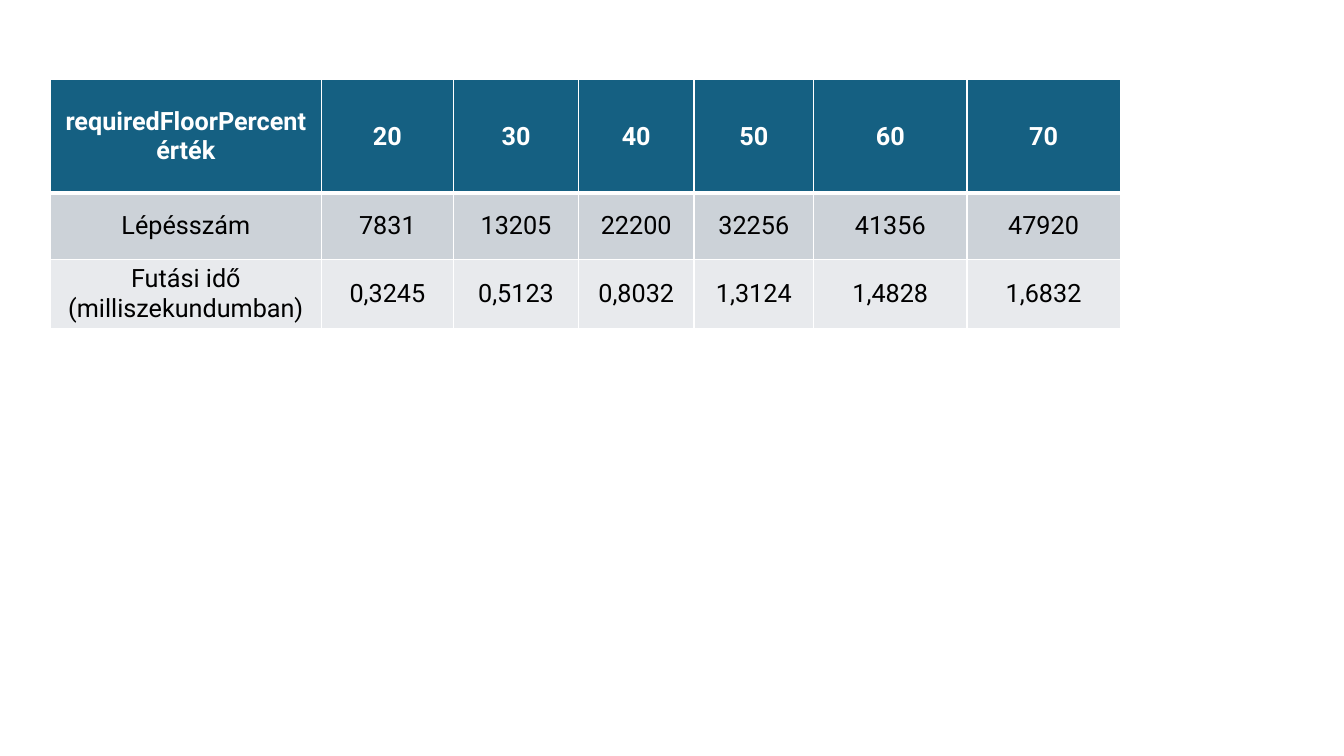
from dataclasses import dataclass

from lxml.etree import SubElement
from pptx import Presentation
from pptx.dml.color import RGBColor as Rgb
from pptx.enum.text import MSO_ANCHOR as Anchor, PP_ALIGN as Align
from pptx.oxml.ns import qn
from pptx.util import Emu, Pt

EMU_PER_PX = 9525


@dataclass(frozen=True)
class Theme:
    font: str = "Roboto"
    text_size: int = 18
    header_fill: str = "156082"
    header_text: str = "FFFFFF"
    body_fills: tuple = ("CCD2D8", "E8EAED")
    body_text: str = "000000"
    border: str = "FFFFFF"
    thin_line: int = 1
    thick_line: int = 3


def px(length):
    return Emu(length * EMU_PER_PX)


class SlideBuilder:
    def __init__(self, slide, theme):
        self.slide = slide
        self.theme = theme

    def table(self, left, top, widths, heights, rows):
        frame = self.slide.shapes.add_table(
            len(rows), len(widths), px(left), px(top), px(sum(widths)), px(sum(heights)))
        table = frame.table
        for column, width in zip(table.columns, widths):
            column.width = px(width)
        for row, height in zip(table.rows, heights):
            row.height = px(height)
        for row_index, texts in enumerate(rows):
            for column_index, text in enumerate(texts):
                self.cell(table.cell(row_index, column_index), text, row_index)

    def cell(self, cell, text, row_index):
        theme = self.theme
        is_header = row_index == 0
        # Borders: a thick line separates the header from the body
        self.borders(cell, {
            "lnL": theme.thin_line,
            "lnR": theme.thin_line,
            "lnT": theme.thick_line if row_index == 1 else theme.thin_line,
            "lnB": theme.thick_line if is_header else theme.thin_line,
        })
        # Fill: body rows alternate
        bands = theme.body_fills
        fill = theme.header_fill if is_header else bands[(row_index - 1) % len(bands)]
        cell.fill.solid()
        cell.fill.fore_color.rgb = Rgb.from_string(fill)
        # Text
        cell.vertical_anchor = Anchor.MIDDLE
        cell.text_frame.text = text
        paragraph = cell.text_frame.paragraphs[0]
        paragraph.alignment = Align.CENTER
        font = paragraph.runs[0].font
        font.name = theme.font
        font.size = Pt(theme.text_size)
        font.bold = is_header
        font.color.rgb = Rgb.from_string(theme.header_text if is_header else theme.body_text)

    def borders(self, cell, line_widths):
        properties = cell._tc.get_or_add_tcPr()
        for side, width in line_widths.items():
            line = SubElement(properties, qn(f"a:{side}"), w=str(Pt(width)))
            fill = SubElement(line, qn("a:solidFill"))
            SubElement(fill, qn("a:srgbClr"), val=self.theme.border)


def main():
    presentation = Presentation()
    presentation.slide_width = px(1280)
    presentation.slide_height = px(720)
    slide = presentation.slides.add_slide(presentation.slide_layouts[6])
    builder = SlideBuilder(slide, Theme())

    # Steps and running time for each floor percentage
    builder.table(
        left=48, top=76,
        widths=[258, 126, 119, 110, 114, 146, 146],
        heights=[108, 63, 63],
        rows=[
            ["requiredFloorPercent érték", "20", "30", "40", "50", "60", "70"],
            ["Lépésszám", "7831", "13205", "22200", "32256", "41356", "47920"],
            ["Futási idő (milliszekundumban)",
             "0,3245", "0,5123", "0,8032", "1,3124", "1,4828", "1,6832"],
        ])

    presentation.save("out.pptx")


if __name__ == "__main__":
    main()
